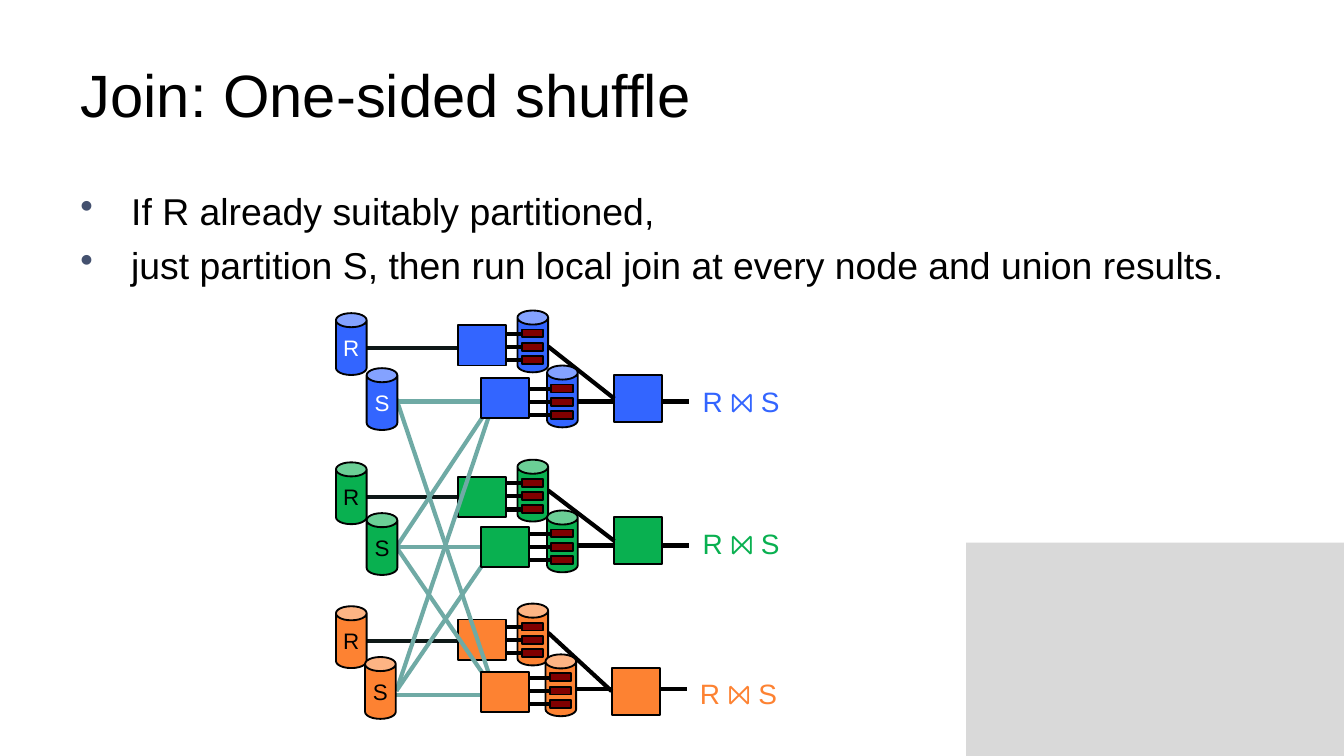
from dataclasses import dataclass

from lxml import etree
from pptx import Presentation
from pptx.dml.color import RGBColor
from pptx.enum.shapes import MSO_CONNECTOR, MSO_SHAPE
from pptx.enum.text import MSO_ANCHOR, MSO_AUTO_SIZE, PP_ALIGN
from pptx.oxml.ns import qn
from pptx.util import Cm, Pt


@dataclass(frozen=True)
class Theme:
    font: str = "Arial"
    black: str = "000000"
    white: str = "FFFFFF"
    blue: str = "3365FF"
    green: str = "09B050"
    orange: str = "FD8232"
    bullet: str = "44516F"
    local: str = "0E1817"
    shuffle: str = "6FAAA5"
    partition: str = "800000"
    corner: str = "D9D9D9"
    title_size: int = 32
    body_size: int = 20
    result_size: int = 15
    relation_size: int = 12
    outline: float = 1
    wire: float = 2.25


@dataclass(frozen=True)
class Node:
    """One cluster node: colours and the vertical places of its parts, in cm."""
    color: str
    letter_color: str
    r_top: float
    s_top: float
    r_box: float
    s_box: float
    join_x: float
    join_top: float
    merge_y: float
    s_wire: float
    shuffle_y: float
    output_y: float
    s_shift: float = 0


class JoinSlide:
    def __init__(self, deck, theme):
        self.theme = theme
        self.slide = deck.slides.add_slide(deck.slide_layouts[5])
        self.shapes = self.slide.shapes

    def style(self, paragraph, size, color):
        paragraph.font.name = self.theme.font
        paragraph.font.size = Pt(size)
        paragraph.font.color.rgb = RGBColor.from_string(color)

    def title(self, text, x, y, w, h):
        title = self.shapes.title
        title.left, title.top, title.width, title.height = Cm(x), Cm(y), Cm(w), Cm(h)
        frame = title.text_frame
        frame.text = text
        frame.auto_size = MSO_AUTO_SIZE.NONE
        frame.vertical_anchor = MSO_ANCHOR.MIDDLE
        frame.paragraphs[0].alignment = PP_ALIGN.LEFT
        self.style(frame.paragraphs[0], self.theme.title_size, self.theme.black)

    def bullets(self, lines, x, y, w, h):
        frame = self.shapes.add_textbox(Cm(x), Cm(y), Cm(w), Cm(h)).text_frame
        frame.word_wrap = True
        frame.margin_top = Cm(0.23)
        for index, line in enumerate(lines):
            paragraph = frame.paragraphs[0] if index == 0 else frame.add_paragraph()
            paragraph.text = line
            if index:
                paragraph.space_before = Pt(5)
            props = paragraph._p.get_or_add_pPr()
            props.set("marL", str(Cm(0.96)))
            props.set("indent", str(-Cm(0.96)))
            color = etree.SubElement(props, qn("a:buClr"))
            etree.SubElement(color, qn("a:srgbClr"), val=self.theme.bullet)
            etree.SubElement(props, qn("a:buChar"), char="•")
            self.style(paragraph, self.theme.body_size, self.theme.black)

    def block(self, x, y, w, h, color, kind=MSO_SHAPE.RECTANGLE, outlined=True):
        block = self.shapes.add_shape(kind, Cm(x), Cm(y), Cm(w), Cm(h))
        block.shadow.inherit = False
        block.fill.solid()
        block.fill.fore_color.rgb = RGBColor.from_string(color)
        if outlined:
            block.line.color.rgb = RGBColor.from_string(self.theme.black)
            block.line.width = Pt(self.theme.outline)
        else:
            block.line.fill.background()
        return block

    def can(self, x, y, color, letter="", letter_color=None):
        can = self.block(x, y, 0.58, 1.17, color, MSO_SHAPE.CAN)
        can.adjustments[0] = 0.46
        if letter:
            frame = can.text_frame
            frame.text = letter
            frame.word_wrap = False
            frame.vertical_anchor = MSO_ANCHOR.MIDDLE
            frame.paragraphs[0].alignment = PP_ALIGN.CENTER
            self.style(frame.paragraphs[0], self.theme.relation_size, letter_color)

    def wire(self, x1, y1, x2, y2, color):
        wire = self.shapes.add_connector(
            MSO_CONNECTOR.STRAIGHT, Cm(x1), Cm(y1), Cm(x2), Cm(y2))
        wire.line.color.rgb = RGBColor.from_string(color)
        wire.line.width = Pt(self.theme.wire)
        etree.SubElement(wire._element.spPr, qn("a:effectLst"))
        return wire

    def store(self, x, y, wire_x, color):
        """A can with three partitions, each fed by a short wire."""
        self.can(x, y, color)
        tops = [y + 0.36 + 0.25 * row for row in range(3)]
        for top in tops:
            self.block(x + 0.08, top, 0.41, 0.15, self.theme.partition)
        for top in tops:
            self.wire(wire_x, top + 0.08, x + 0.08, top + 0.08, self.theme.black)

    def result(self, text, x, y, color):
        frame = self.shapes.add_textbox(Cm(x), Cm(y), Cm(2.08), Cm(0.89)).text_frame
        frame.text = text
        frame.word_wrap = False
        frame.auto_size = MSO_AUTO_SIZE.SHAPE_TO_FIT_TEXT
        self.style(frame.paragraphs[0], self.theme.result_size, color)


def draw_diagram(page, nodes):
    theme = page.theme

    # Local joins and their outputs
    for node in nodes:
        page.wire(node.join_x - 0.69, node.output_y,
                  node.join_x + 1.42, node.output_y, theme.black)
        join = page.block(node.join_x, node.join_top, 0.91, 0.89, node.color)
        merge = page.wire(10.36, node.merge_y, node.join_x, node.join_top + 0.45, theme.black)
        merge.end_connect(join, 1)
        page.result("R ⨝ S", node.join_x + 1.42, node.join_top + 0.05, node.color)

    # R stays on its node
    for node in nodes:
        page.wire(6.78, node.r_top + 0.66, 8.81, node.r_top + 0.66, theme.local)
        page.can(6.35, node.r_top, node.color, "R", node.letter_color)
        page.store(9.78, node.r_top - 0.05, 9.47, node.color)
        page.block(8.66, node.r_box, 0.91, 0.76, node.color)

    # S is shuffled between the nodes
    for node in nodes:
        page.wire(7.34, node.s_wire, 9.42, node.s_wire, theme.shuffle)
    for source, target in [(0, 2), (1, 0), (2, 1), (1, 2), (2, 0)]:
        page.wire(7.49, nodes[source].shuffle_y, 9.35, nodes[target].shuffle_y, theme.shuffle)
    for node in nodes:
        page.can(6.93 - node.s_shift, node.s_top, node.color, "S", node.letter_color)
        page.store(10.34 - node.s_shift, node.s_top - 0.05, 10.01, node.color)
        page.block(9.09, node.s_box, 0.91, 0.76, node.color)


def main():
    theme = Theme()
    deck = Presentation()
    deck.slide_width, deck.slide_height = Cm(25.4), Cm(14.29)
    page = JoinSlide(deck, theme)

    # Corner panel and text
    page.block(18.26, 10.26, 7.14, 4.03, theme.corner, outlined=False)
    page.title("Join: One-sided shuffle", 1.27, 0.58, 22.86, 2.39)
    page.bullets(["If R already suitably partitioned,",
                  "just partition S, then run local join at every node and union results."],
                 1.27, 3.33, 22.86, 9.42)

    # Cluster nodes, top to bottom
    draw_diagram(page, [
        Node(theme.blue, theme.white, r_top=5.92, s_top=6.96, r_box=6.15, s_box=7.14,
             join_x=11.61, join_top=7.09, merge_y=6.55,
             s_wire=7.59, shuffle_y=7.54, output_y=7.59),
        Node(theme.green, theme.black, r_top=8.74, s_top=9.7, r_box=9.02, s_box=9.96,
             join_x=11.61, join_top=9.78, merge_y=9.27,
             s_wire=10.34, shuffle_y=10.34, output_y=10.31),
        Node(theme.orange, theme.black, r_top=11.46, s_top=12.42, r_box=11.71, s_box=12.7,
             join_x=11.56, join_top=12.62, merge_y=11.96,
             s_wire=13.13, shuffle_y=13.06, output_y=13.02, s_shift=0.03),
    ])
    deck.save("out.pptx")


if __name__ == "__main__":
    main()
